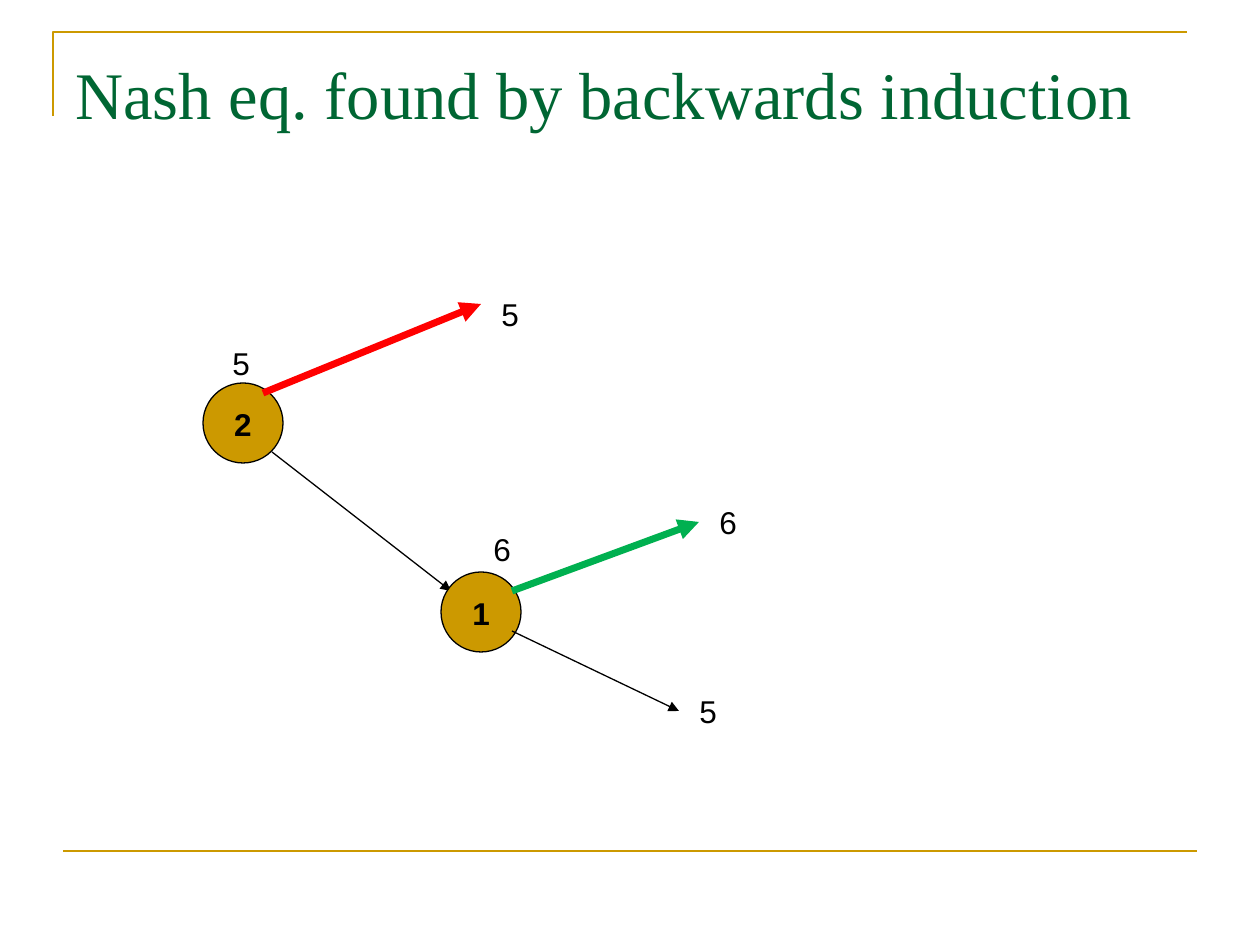
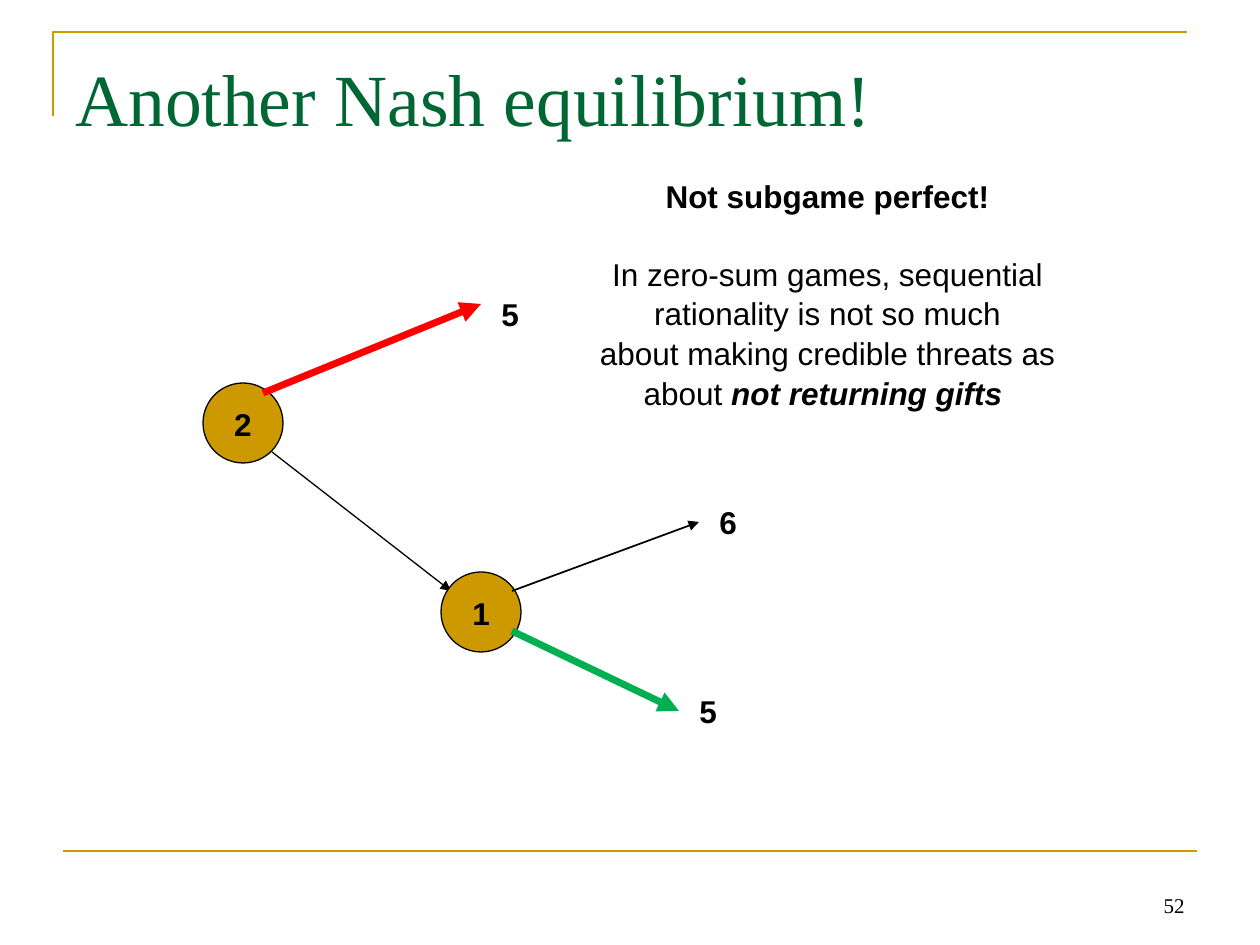
from lxml.etree import SubElement
from pptx import Presentation
from pptx.dml.color import RGBColor
from pptx.enum.shapes import MSO_CONNECTOR, MSO_SHAPE
from pptx.enum.text import MSO_ANCHOR as Anchor, PP_ALIGN as Align
from pptx.oxml.ns import qn
from pptx.util import Emu, Pt

EMU_PER_PX = 914400 / 126
COLORS = {"gold": "CC9900", "green": "006633", "black": "000000",
          "red": "FF0000", "reply": "00B050"}
SANS, SERIF = "Arial", "Times New Roman"
SANS_SPACING = 1.05
THIN = ("black", 0.75)
CHOICE_2, CHOICE_1 = ("red", 4), ("reply", 4)

# Game tree: players at circle corners, moves from start to tip
NODE_SIZE = 80
PLAYERS = {"2": (203, 383), "1": (441, 572)}
MOVES = {
    "2": {"down": ((272, 452), (451, 591)), "up": ((263, 393), (481, 304))},
    "1": {"up": ((512, 591), (699, 522)), "down": ((512, 631), (679, 711))},
}
LABEL_SIZE = (43, 50)
PAYOFFS = [("5", (489, 287)), ("5", (687, 684)), ("6", (707, 495))]

SLIDES = [
    {
        "title": "Nash eq. found by backwards induction",
        "title_size": 38,
        "choices": {("2", "up"): CHOICE_2, ("1", "up"): CHOICE_1},
        "labels": PAYOFFS + [("6", (481, 522)), ("5", (220, 336))],
        "bold_labels": False,
    },
    {
        "title": "Another Nash equilibrium!",
        "title_size": 42,
        "choices": {("2", "up"): CHOICE_2, ("1", "up"): ("black", 1),
                    ("1", "down"): CHOICE_1},
        "labels": PAYOFFS,
        "bold_labels": True,
        "note": [
            [("Not subgame perfect!", "b")],
            [("In zero-sum games, sequential rationality is not so much", "")],
            [("about making credible threats as about ", ""),
             ("not returning gifts ", "bi")],
        ],
        "number": "52",
    },
]


def px(length):
    return Emu(round(length * EMU_PER_PX))


def color(name):
    return RGBColor.from_string(COLORS[name])


def style_line(line, name, width):
    line.color.rgb = color(name)
    line.width = Pt(width)


def style_font(font, size, face=SANS, name="black", bold=False, italic=False):
    font.size, font.name = Pt(size), face
    font.color.rgb = color(name)
    font.bold, font.italic = bold, italic


def add_box(slide, left, top, width, height, wrap=True):
    box = slide.shapes.add_textbox(px(left), px(top), px(width), px(height))
    box.text_frame.word_wrap = wrap
    return box.text_frame


def add_line(slide, start, end, name, width, arrow=False):
    line = slide.shapes.add_connector(
        MSO_CONNECTOR.STRAIGHT, *map(px, start + end))
    style_line(line.line, name, width)
    if arrow:
        SubElement(line.line._get_or_add_ln(), qn("a:tailEnd"), type="triangle")
    SubElement(line._element.spPr, qn("a:effectLst"))


def add_frame(slide):
    """Draw the gold corner rule and the footer rule."""
    builder = slide.shapes.build_freeform(53, 116, scale=EMU_PER_PX)
    builder.add_line_segments([(53, 32), (1187, 32)], close=False)
    corner = builder.convert_to_shape()
    corner.shadow.inherit = False
    corner.fill.background()
    style_line(corner.line, "gold", 1.5)
    add_line(slide, (63, 851), (1197, 851), "gold", 1.5)


def add_title(slide, text, size):
    frame = add_box(slide, 63, 38, 1134, 157)
    frame.margin_top = px(15)
    frame.text = text
    style_font(frame.paragraphs[0].runs[0].font, size, SERIF, "green")


def add_player(slide, player, corner):
    node = slide.shapes.add_shape(
        MSO_SHAPE.OVAL, *map(px, corner), px(NODE_SIZE), px(NODE_SIZE))
    node.shadow.inherit = False
    node.fill.solid()
    node.fill.fore_color.rgb = color("gold")
    style_line(node.line, *THIN)
    frame = node.text_frame
    frame.word_wrap = False
    frame.vertical_anchor = Anchor.MIDDLE
    frame.text = player
    paragraph = frame.paragraphs[0]
    paragraph.alignment = Align.CENTER
    paragraph.line_spacing = SANS_SPACING
    style_font(paragraph.runs[0].font, 18, bold=True)


def add_game_tree(slide, choices, labels, bold):
    for player, corner in PLAYERS.items():
        add_player(slide, player, corner)
        for move, (start, tip) in MOVES[player].items():
            add_line(slide, start, tip, *choices.get((player, move), THIN),
                     arrow=True)
    for text, corner in labels:
        frame = add_box(slide, *corner, *LABEL_SIZE, wrap=False)
        frame.text = text
        paragraph = frame.paragraphs[0]
        paragraph.line_spacing = SANS_SPACING
        style_font(paragraph.runs[0].font, 18, bold=bold)


def add_note(slide, paragraphs):
    frame = add_box(slide, 587, 169, 481, 239)
    for index, runs in enumerate(paragraphs):
        paragraph = frame.add_paragraph() if index else frame.paragraphs[0]
        paragraph.alignment = Align.CENTER
        paragraph.line_spacing = SANS_SPACING
        if index == 1:
            paragraph.space_before = Pt(21.6)
        for text, style in runs:
            run = paragraph.add_run()
            run.text = text
            style_font(run.font, 18, bold="b" in style, italic="i" in style)


def add_number(slide, number):
    frame = add_box(slide, 903, 861, 294, 63)
    frame.vertical_anchor = Anchor.BOTTOM
    frame.text = number
    paragraph = frame.paragraphs[0]
    paragraph.alignment = Align.RIGHT
    style_font(paragraph.runs[0].font, 12, SERIF)


def main():
    presentation = Presentation()
    presentation.slide_width, presentation.slide_height = px(1260), px(945)
    for content in SLIDES:
        slide = presentation.slides.add_slide(presentation.slide_layouts[6])
        add_frame(slide)
        add_title(slide, content["title"], content["title_size"])
        add_game_tree(slide, content["choices"], content["labels"],
                      content["bold_labels"])
        if "note" in content:
            add_note(slide, content["note"])
        if "number" in content:
            add_number(slide, content["number"])
    presentation.save("out.pptx")


if __name__ == "__main__":
    main()
